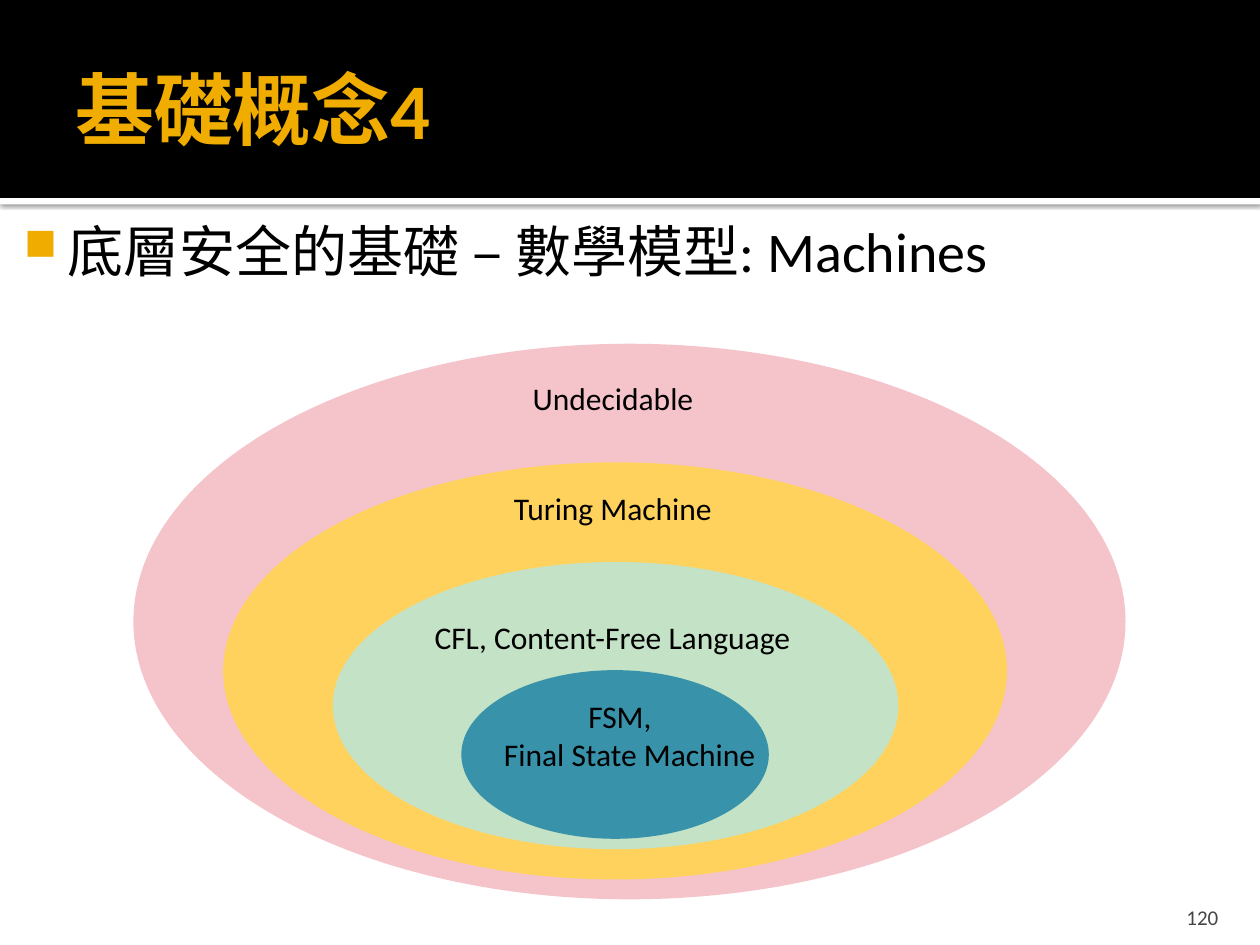
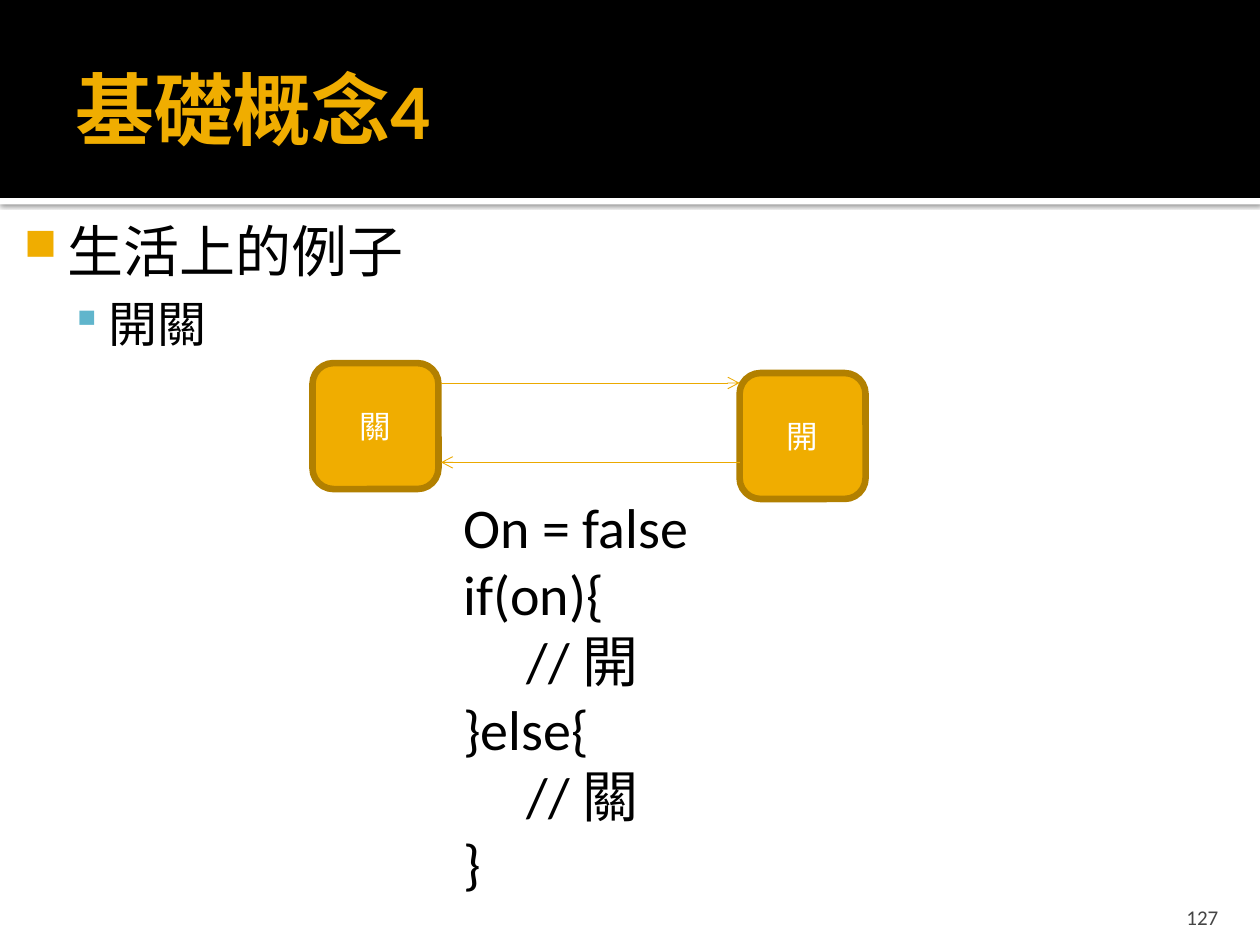
from collections import namedtuple

from lxml import etree
from pptx import Presentation
from pptx import util as u
from pptx.dml.color import RGBColor
from pptx.enum import shapes, text
from pptx.oxml import ns

FONT = "Calibri"
COLORS = {
    "black": "000000",
    "white": "FFFFFF",
    "gold": "F0AD00",
    "gold_edge": "B28000",
    "arrow": "EBA900",
    "sky": "60B5CC",
    "page": "454545",
    "pink": "F5C4CB",
    "yellow": "FFD25D",
    "green": "C4E2C5",
    "teal": "3792AA",
}

# All lengths are centimetres.
Box = namedtuple("Box", "left top width height")
SLIDE = Box(0, 0, 25.4, 19.05)
BAND_HEIGHT = 3.99
TITLE = Box(1.27, 0.43, 22.86, 3.48)
PAGE_NUMBER = Box(22.78, 17.98, 2.03, 0.76)
DEFAULT_INSETS = (0.25, 0.13, 0.25, 0.13)

# Bullet levels: character, colour, size %, left margin, indent, text size, space before
Level = namedtuple("Level", "char color percent margin indent size before")
LEVELS = (
    Level("■", "gold", 80, 1.22, -0.89, 32, 0),
    Level("▪", "sky", 90, 2.03, -0.76, 28, 5.6),
)

# Nested machine classes, placed from the corner of the diagram
Machine = namedtuple("Machine", "color oval lines label wrap indent")
MACHINES = (
    Machine("pink", Box(0, 0, 20, 11.2), ["Undecidable"],
            Box(7.8, 0.59, 3.84, 1.02), False, 0),
    Machine("yellow", Box(1.81, 2.39, 15.8, 8.41), ["Turing Machine"],
            Box(7.42, 2.8, 4.6, 1.02), False, 0),
    Machine("green", Box(4.02, 4.4, 11.4, 5.79), ["CFL, Content-Free Language"],
            Box(5.82, 5.39, 8.41, 1.02), True, 0),
    Machine("teal", Box(6.61, 6.58, 6.2, 3.4), ["FSM,", "Final State Machine"],
            Box(7.22, 6.99, 6.4, 1.8), True, 1.7),
)

SWITCH_CODE = ["On = false", "if(on){", "     // 開", "}else{", "     // 關", "}"]


def rgb(name):
    return RGBColor.from_string(COLORS[name])


def cm(box):
    return [u.Cm(length) for length in box]


def inside(outer, part):
    """Move a part given from the corner of outer to slide coordinates."""
    return part._replace(left=outer.left + part.left, top=outer.top + part.top)


def add_element(parent, tag, **attributes):
    return etree.SubElement(parent, ns.qn(tag), attributes)


def style(paragraph, size, color, bold=False):
    for run in paragraph.runs:
        run.font.name = FONT
        run.font.size = u.Pt(size)
        run.font.bold = bold
        run.font.color.rgb = rgb(color)


def add_text(slide, box, lines, size, color="black", bold=False, wrap=True,
             anchor=text.MSO_ANCHOR.TOP, insets=DEFAULT_INSETS):
    frame = slide.shapes.add_textbox(*cm(box)).text_frame
    frame.word_wrap = wrap
    frame.vertical_anchor = anchor
    (frame.margin_left, frame.margin_top,
     frame.margin_right, frame.margin_bottom) = cm(insets)
    frame.text = "\n".join(lines)
    for paragraph in frame.paragraphs:
        style(paragraph, size, color, bold)
    return frame


def add_block(slide, kind, box, fill, edge=None, edge_width=0):
    block = slide.shapes.add_shape(kind, *cm(box))
    block.shadow.inherit = False
    block.fill.solid()
    block.fill.fore_color.rgb = rgb(fill)
    if edge:
        block.line.color.rgb = rgb(edge)
        block.line.width = u.Pt(edge_width)
    else:
        block.line.fill.background()
    return block


def cast_shadow(block):
    effects = block._element.spPr.find(ns.qn("a:effectLst"))
    shadow = add_element(effects, "a:outerShdw", blurRad=str(u.Pt(2.5)),
                         dist=str(u.Pt(0.8)), dir="5400000", rotWithShape="0")
    shade = add_element(shadow, "a:srgbClr", val=COLORS["black"])
    add_element(shade, "a:alpha", val="60000")


def add_arrow(slide, start_x, end_x, y):
    arrow = slide.shapes.add_connector(
        shapes.MSO_CONNECTOR.STRAIGHT, *cm((start_x, y, end_x, y)))
    arrow.line.color.rgb = rgb("arrow")
    arrow.line.width = u.Pt(0.5)
    add_element(arrow.line._get_or_add_ln(), "a:tailEnd", type="arrow")
    add_element(arrow._element.spPr, "a:effectLst")


def add_frame(deck, title, page):
    """Add a slide with the title band and the page number."""
    slide = deck.slides.add_slide(deck.slide_layouts[6])
    rectangle = shapes.MSO_SHAPE.RECTANGLE
    strip = add_block(slide, rectangle, Box(0, BAND_HEIGHT, SLIDE.width, 0.13), "white")
    cast_shadow(strip)
    add_block(slide, rectangle, Box(0, 0, SLIDE.width, BAND_HEIGHT), "black")
    add_text(slide, TITLE, [title], 45, "gold", bold=True,
             anchor=text.MSO_ANCHOR.MIDDLE, insets=(0.25, 0.13, 0.13, 0.13))
    number = add_text(slide, PAGE_NUMBER, [page], 12, "page",
                      anchor=text.MSO_ANCHOR.BOTTOM, insets=(0.25, 0.13, 0.25, 0))
    number.paragraphs[0].alignment = text.PP_ALIGN.RIGHT
    return slide


def add_bullets(slide, box, lines):
    """Write one line for each bullet level, outermost first."""
    frame = add_text(slide, box, lines, LEVELS[0].size, insets=(0.15, 0.25, 0.25, 0.13))
    for paragraph, level in zip(frame.paragraphs, LEVELS):
        if level.before:
            paragraph.space_before = u.Pt(level.before)
        properties = paragraph._p.get_or_add_pPr()
        properties.set("marL", str(u.Cm(level.margin)))
        properties.set("indent", str(u.Cm(level.indent)))
        bullet_color = add_element(properties, "a:buClr")
        add_element(bullet_color, "a:srgbClr", val=COLORS[level.color])
        add_element(properties, "a:buSzPct", val=str(level.percent * 1000))
        add_element(properties, "a:buChar", char=level.char)
        style(paragraph, level.size, "black")


def add_machine_classes(slide, box):
    for machine in MACHINES:
        add_block(slide, shapes.MSO_SHAPE.OVAL, inside(box, machine.oval), machine.color)
        label = add_text(slide, inside(box, machine.label), machine.lines, 18,
                         wrap=machine.wrap)
        if machine.indent:
            first_line = label.paragraphs[0]._p.get_or_add_pPr()
            first_line.set("marL", str(u.Cm(machine.indent)))


def add_state(slide, box, name):
    state = add_block(slide, shapes.MSO_SHAPE.ROUNDED_RECTANGLE, box,
                      "gold", "gold_edge", 3.78)
    frame = state.text_frame
    frame.text = name
    frame.vertical_anchor = text.MSO_ANCHOR.MIDDLE
    frame.paragraphs[0].alignment = text.PP_ALIGN.CENTER
    style(frame.paragraphs[0], 18, "white")


def add_switch(slide, box):
    """Draw the two states, the arrows between them and the code below."""
    side = 2.54
    off_edge = box.left + side + 0.05
    on_edge = box.left + box.width - side
    add_state(slide, Box(box.left, box.top, side, side), "關")
    add_state(slide, Box(on_edge, box.top + 0.2, side, side), "開")
    add_arrow(slide, off_edge, on_edge, box.top + 0.4)
    add_arrow(slide, on_edge, off_edge, box.top + 2)
    add_text(slide, inside(box, Box(2.79, 2.48, 5.18, 8.46)), SWITCH_CODE, 32, wrap=False)


def main():
    deck = Presentation()
    deck.slide_width, deck.slide_height = u.Cm(SLIDE.width), u.Cm(SLIDE.height)

    machines = add_frame(deck, "基礎概念4", "120")
    add_bullets(machines, Box(0, 4.11, 22.86, 12.85), ["底層安全的基礎 – 數學模型: Machines"])
    add_machine_classes(machines, Box(2.69, 6.93, 20, 11.2))

    switch = add_frame(deck, "基礎概念4", "127")
    add_bullets(switch, Box(0, 4.11, 25.4, 14.94), ["生活上的例子", "開關"])
    add_switch(switch, Box(6.3, 7.32, 11.15, 10.94))

    deck.save("out.pptx")


if __name__ == "__main__":
    main()
